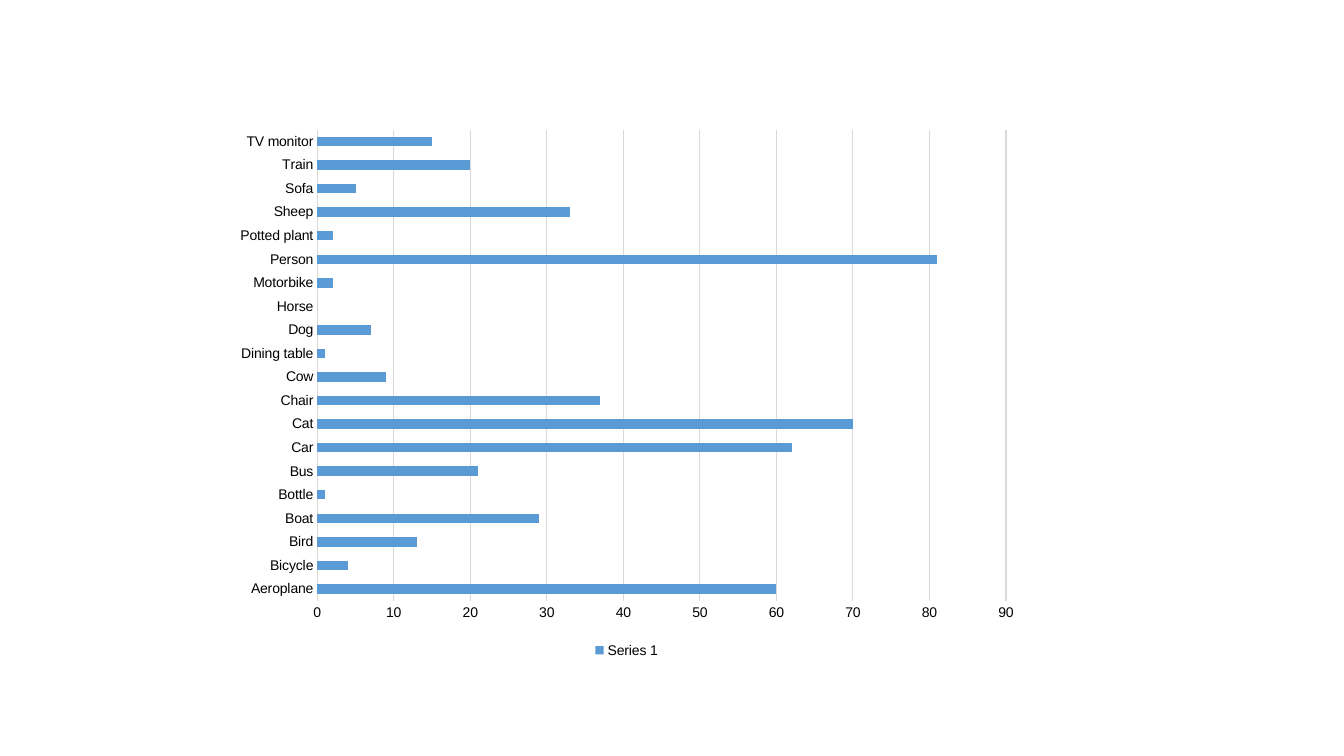
from dataclasses import dataclass

from lxml import etree
from pptx import Presentation
from pptx import util as u
from pptx.chart import data as chart_data
from pptx.chart.chart import Chart
from pptx.dml.color import RGBColor
from pptx.enum import chart as ch
from pptx.oxml import ns


@dataclass(frozen=True)
class Theme:
    font: str = "Arial"
    size: float = 10
    line: float = 0.74
    ink: str = "000000"
    rule: str = "D9D9D9"
    bar: str = "5B9BD5"


@dataclass(frozen=True)
class Frame:
    """A rectangle given as shares of its container."""
    x: float
    y: float
    w: float
    h: float


@dataclass(frozen=True)
class ObjectClass:
    name: str
    value: int


THEME = Theme()
SLIDE_W, SLIDE_H = 13.33, 7.5
CHART_FRAME = Frame(2.22 / SLIDE_W, 1.18 / SLIDE_H, 7.99 / SLIDE_W, 5.39 / SLIDE_H)
PLOT_FRAME = Frame(0.116, 0.02, 0.855, 0.867)

# Listed from the bottom bar to the top bar
CLASSES = [
    ObjectClass("Aeroplane", 60), ObjectClass("Bicycle", 4),
    ObjectClass("Bird", 13), ObjectClass("Boat", 29),
    ObjectClass("Bottle", 1), ObjectClass("Bus", 21),
    ObjectClass("Car", 62), ObjectClass("Cat", 70),
    ObjectClass("Chair", 37), ObjectClass("Cow", 9),
    ObjectClass("Dining table", 1), ObjectClass("Dog", 7),
    ObjectClass("Horse", 0), ObjectClass("Motorbike", 2),
    ObjectClass("Person", 81), ObjectClass("Potted plant", 2),
    ObjectClass("Sheep", 33), ObjectClass("Sofa", 5),
    ObjectClass("Train", 20), ObjectClass("TV monitor", 15),
]


def color(value: str) -> RGBColor:
    return RGBColor.from_string(value)


def rule_line(line_format) -> None:
    line_format.color.rgb = color(THEME.rule)
    line_format.width = u.Pt(THEME.line)


def place_plot(chart: Chart, frame: Frame) -> None:
    """Fix the inner plot area, which has no public setting."""
    plot_area = chart.plots[0]._element.getparent()
    for old in plot_area.findall(ns.qn("c:layout")):
        plot_area.remove(old)
    layout = etree.Element(ns.qn("c:layout"))
    manual = etree.SubElement(layout, ns.qn("c:manualLayout"))
    settings = {"layoutTarget": "inner", "xMode": "edge", "yMode": "edge",
                "x": frame.x, "y": frame.y, "w": frame.w, "h": frame.h}
    for tag, value in settings.items():
        etree.SubElement(manual, ns.qn(f"c:{tag}"), val=str(value))
    plot_area.insert(0, layout)


def add_class_chart(page, classes: list[ObjectClass], frame: Frame) -> Chart:
    data = chart_data.CategoryChartData()
    data.categories = [item.name for item in classes]
    data.add_series("Series 1", [item.value for item in classes])
    chart = page.shapes.add_chart(
        ch.XL_CHART_TYPE.BAR_STACKED,
        u.Inches(frame.x * SLIDE_W), u.Inches(frame.y * SLIDE_H),
        u.Inches(frame.w * SLIDE_W), u.Inches(frame.h * SLIDE_H), data).chart
    chart.has_title = False
    chart.font.name = THEME.font
    chart.font.size = u.Pt(THEME.size)
    chart.font.color.rgb = color(THEME.ink)

    # Bars
    plot = chart.plots[0]
    plot.gap_width, plot.overlap = 150, 100
    plot.vary_by_categories = False
    fill = plot.series[0].format.fill
    fill.solid()
    fill.fore_color.rgb = color(THEME.bar)

    # Axes
    for axis in (chart.category_axis, chart.value_axis):
        axis.major_tick_mark = axis.minor_tick_mark = ch.XL_TICK_MARK.NONE
    chart.category_axis.has_major_gridlines = False
    rule_line(chart.category_axis.format.line)
    values = chart.value_axis
    values.minimum_scale, values.maximum_scale, values.major_unit = 0, 90, 10
    values.format.line.fill.background()
    values.has_major_gridlines = True
    rule_line(values.major_gridlines.format.line)

    # Legend
    chart.has_legend = True
    chart.legend.position = ch.XL_LEGEND_POSITION.BOTTOM
    chart.legend.include_in_layout = False
    return chart


deck = Presentation()
deck.slide_width, deck.slide_height = u.Inches(SLIDE_W), u.Inches(SLIDE_H)
page = deck.slides.add_slide(deck.slide_layouts[6])
place_plot(add_class_chart(page, CLASSES, CHART_FRAME), PLOT_FRAME)
deck.save("out.pptx")
